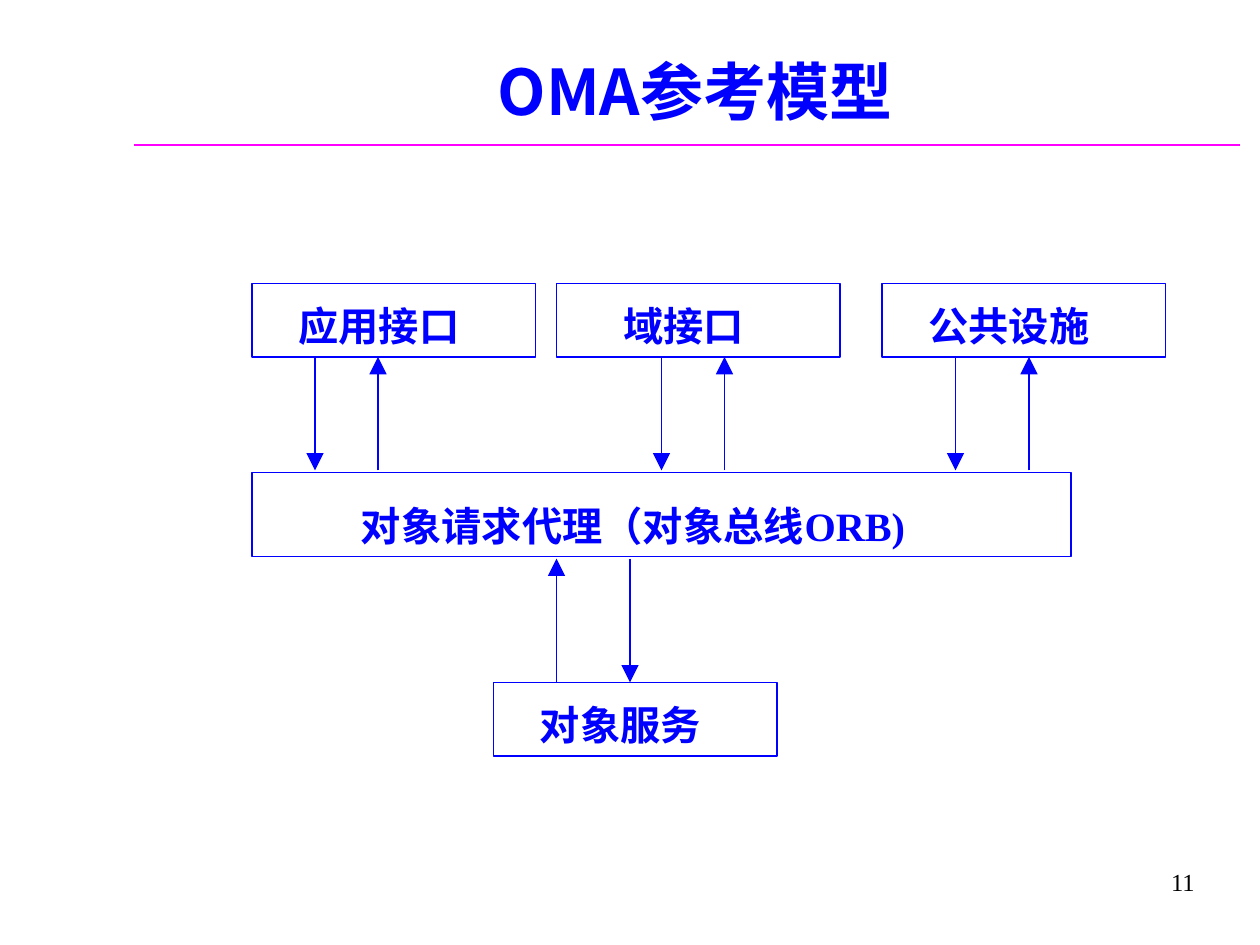
from lxml.etree import SubElement
from pptx import Presentation
from pptx.dml.color import RGBColor
from pptx.enum.shapes import MSO_CONNECTOR, MSO_SHAPE
from pptx.enum.text import MSO_ANCHOR, MSO_AUTO_SIZE, PP_ALIGN
from pptx.oxml.ns import qn
from pptx.util import Inches, Pt

COLORS = {"blue": "0000FF", "rule": "FF00FF", "number": "000000"}
LATIN, CJK = "Times New Roman", "Noto Sans CJK SC"
UNITS_PER_INCH = 12
BOX_WIDTH, BOX_HEIGHT = 27, 7
TOP_ROW, BUS_ROW, SERVICE_ROW = 27, 45, 65
BUS_HEIGHT = 8
LABEL_HEIGHT = 5.88
INTERFACES = [
    ("应用接口", 24, 36.1, 17.8, 30, 36),
    ("域接口", 53, 65.1, 13.9, 63, 69),
    ("公共设施", 84, 96.1, 17.8, 91, 98),
]


def grid(units):
    return Inches(units / UNITS_PER_INCH)


def color(name):
    return RGBColor.from_string(COLORS[name])


def apply(target, values):
    for name, value in values.items():
        setattr(target, name, value)


def write(frame, text, size, ink="blue", latin=LATIN, bold=True,
          align=PP_ALIGN.CENTER, **frame_format):
    apply(frame, frame_format)
    paragraph = frame.paragraphs[0]
    paragraph.alignment = align
    run = paragraph.add_run()
    run.text = text
    apply(run.font, {"size": Pt(size), "bold": bold, "name": latin})
    run.font.color.rgb = color(ink)
    SubElement(run.font._element, qn("a:ea"), typeface=CJK)


def add_title(slide, text):
    title = slide.shapes.title
    apply(title, {"left": Inches(1.22), "top": Inches(0.13),
                  "width": Inches(8.59), "height": Inches(0.94)})
    write(title.text_frame, text, 36, latin=CJK, word_wrap=True,
          vertical_anchor=MSO_ANCHOR.BOTTOM, auto_size=MSO_AUTO_SIZE.NONE)


def add_line(slide, start, end, ink="blue", weight=0.75, arrow=False):
    line = slide.shapes.add_connector(
        MSO_CONNECTOR.STRAIGHT, *(grid(units) for units in (*start, *end)))
    line.line.color.rgb = color(ink)
    line.line.width = Pt(weight)
    if arrow:
        SubElement(line.line._get_or_add_ln(), qn("a:tailEnd"),
                   type="triangle", w="lg", len="lg")
    SubElement(line._element.spPr, qn("a:effectLst"))


def add_arrow_pair(slide, down, up, top, bottom):
    add_line(slide, (down, top), (down, bottom), arrow=True)
    add_line(slide, (up, bottom), (up, top), arrow=True)


def add_box(slide, text, left, top, center, middle, label_width,
            width=BOX_WIDTH, height=BOX_HEIGHT):
    box = slide.shapes.add_shape(
        MSO_SHAPE.RECTANGLE, grid(left), grid(top), grid(width), grid(height))
    box.shadow.inherit = False
    box.fill.background()
    box.line.color.rgb = color("blue")
    box.line.width = Pt(0.75)
    label = slide.shapes.add_textbox(
        grid(center - label_width / 2), grid(middle - LABEL_HEIGHT / 2),
        grid(label_width), grid(LABEL_HEIGHT))
    write(label.text_frame, text, 23, word_wrap=False,
          vertical_anchor=MSO_ANCHOR.MIDDLE,
          auto_size=MSO_AUTO_SIZE.SHAPE_TO_FIT_TEXT)


def add_page_number(slide, text):
    number = slide.shapes.add_textbox(
        Inches(7.5), Inches(6.75), Inches(2.08), Inches(0.5))
    write(number.text_frame, text, 14, "number", bold=False,
          align=PP_ALIGN.RIGHT, word_wrap=True,
          vertical_anchor=MSO_ANCHOR.MIDDLE)


def main():
    deck = Presentation()
    apply(deck, {"slide_width": Inches(10), "slide_height": Inches(7.5)})
    slide = deck.slides.add_slide(deck.slide_layouts[5])

    add_line(slide, (12.75, 13.8), (118.1, 13.8), "rule", 1.5)
    add_title(slide, "OMA参考模型")
    add_page_number(slide, "11")

    add_box(slide, "对象请求代理（对象总线ORB)", 24, BUS_ROW, 60.3,
            BUS_ROW + 5, 60, width=78, height=BUS_HEIGHT)
    for text, left, center, label_width, down, up in INTERFACES:
        add_box(slide, text, left, TOP_ROW, center, TOP_ROW + 4, label_width)
        add_arrow_pair(slide, down, up, TOP_ROW + BOX_HEIGHT, BUS_ROW - 0.2)
    add_box(slide, "对象服务", 47, SERVICE_ROW, 59.1, SERVICE_ROW + 4, 17.8)
    add_arrow_pair(slide, 60, 53, BUS_ROW + BUS_HEIGHT + 0.2, SERVICE_ROW)

    deck.save("out.pptx")


if __name__ == "__main__":
    main()
